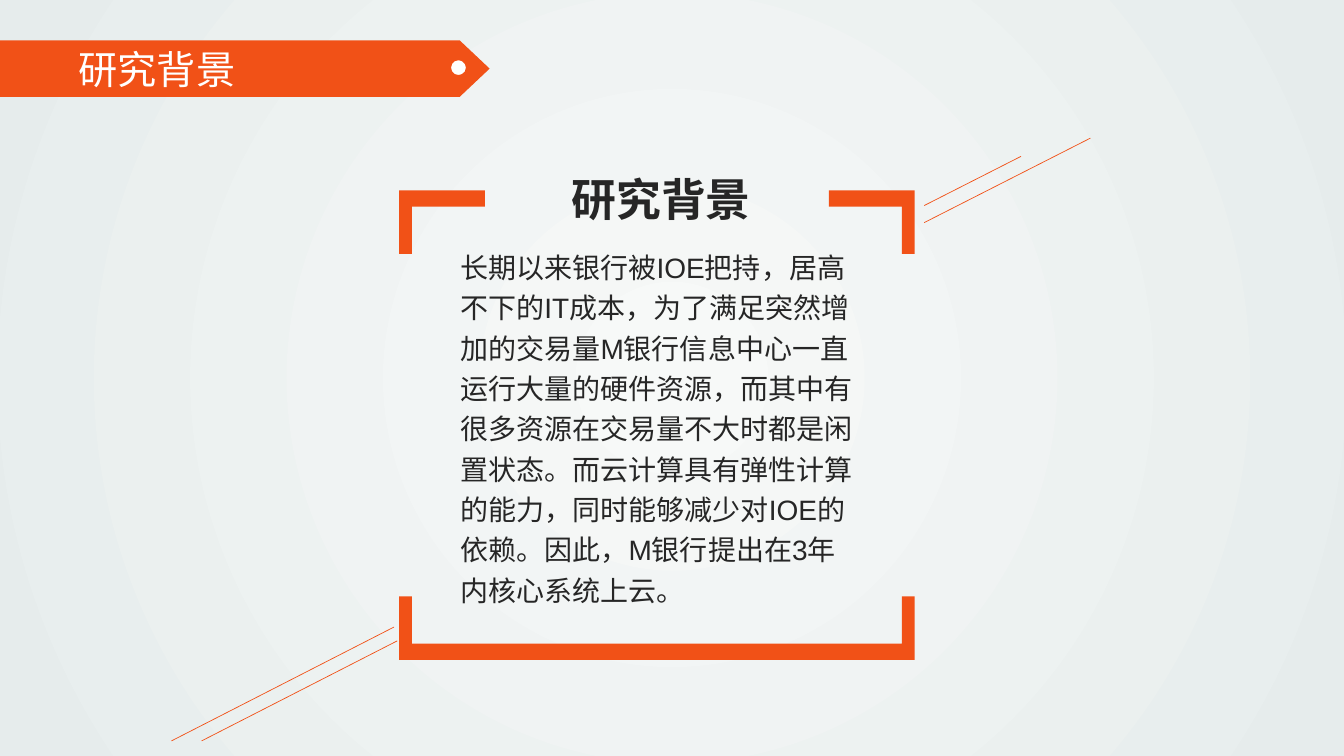
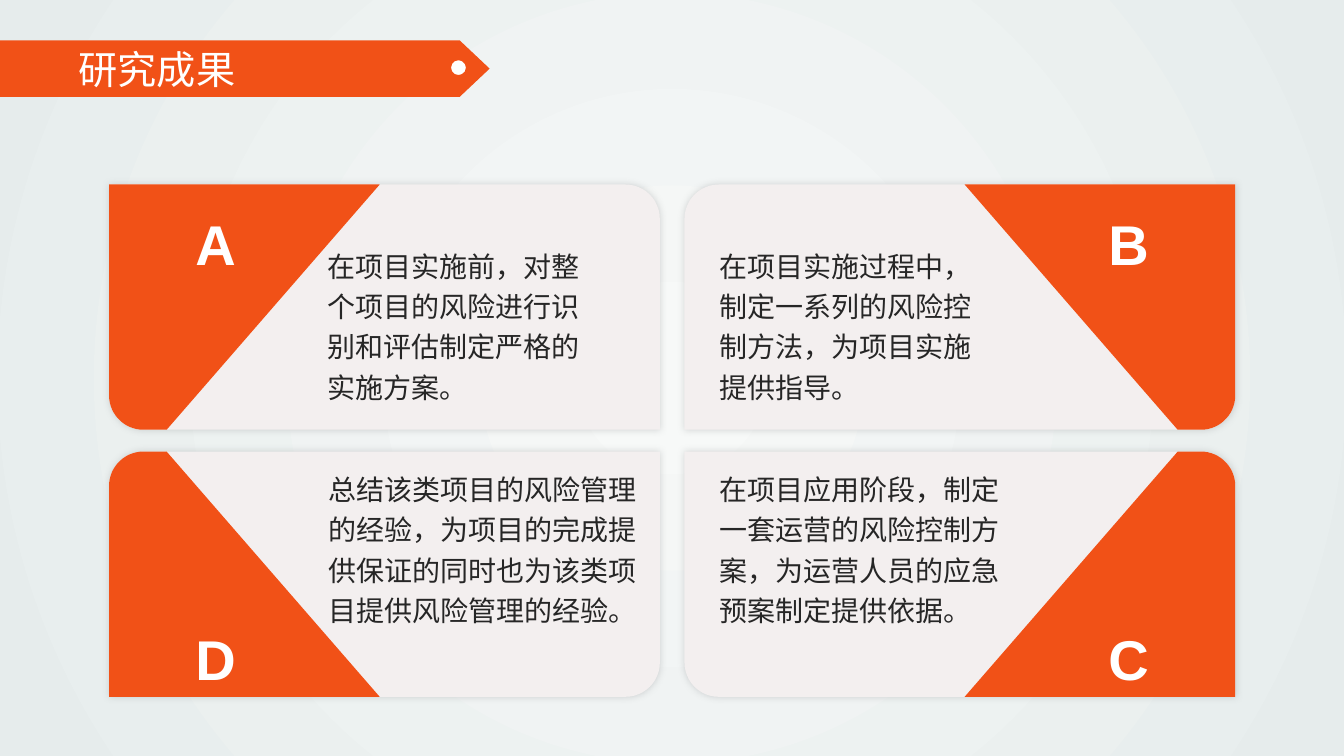
"""Build two slides on moving a bank's core systems to the cloud."""
import math

import lxml.etree
import pptx
import pptx.dml.color
import pptx.enum.lang
import pptx.enum.shapes
import pptx.enum.text
import pptx.oxml.ns
import pptx.util

Cm = pptx.util.Cm
Pt = pptx.util.Pt
RGB = pptx.dml.color.RGBColor
KIND = pptx.enum.shapes.MSO_SHAPE
ALIGN = pptx.enum.text.PP_ALIGN
ANCHOR = pptx.enum.text.MSO_ANCHOR
tag = pptx.oxml.ns.qn

ORANGE = RGB(0xF1, 0x51, 0x17)
WHITE = RGB(0xFF, 0xFF, 0xFF)
INK = RGB(0x26, 0x26, 0x26)
PANEL = RGB(0xF3, 0xEF, 0xEF)
SHADE = RGB(0x97, 0x9A, 0x9C)
GLOW = RGB(0xF7, 0xF9, 0xF8)
EDGE = RGB(0xE6, 0xEC, 0xEC)
HAN = "Noto Sans CJK SC"

TITLE = {"font": {"size": Pt(28), "name": HAN}, "color": WHITE,
         "para": {"alignment": ALIGN.LEFT}, "frame": {"word_wrap": False}}
BODY = {"font": {"size": Pt(20), "name": "Arial"}, "color": INK,
        "para": {"line_spacing": 1.2}, "frame": {"word_wrap": True}}
HEAD = {"font": {"size": Pt(32), "name": "Arial", "bold": True}, "color": INK,
        "para": {"line_spacing": 1.2, "alignment": ALIGN.CENTER},
        "frame": {"word_wrap": True}}
LETTER = {"font": {"size": Pt(40), "name": "Arial", "bold": True},
          "color": WHITE,
          "para": {"line_spacing": 1.3, "alignment": ALIGN.CENTER},
          "frame": {"word_wrap": True}}

STORY = ("长期以来银行被IOE把持，居高不下的IT成本，为了满足突然增加的交易量"
         "M银行信息中心一直运行大量的硬件资源，而其中有很多资源在交易量不大时"
         "都是闲置状态。而云计算具有弹性计算的能力，同时能够减少对IOE的依赖。"
         "因此，M银行提出在3年内核心系统上云。")
LINES = [(4.32, 18.67, 9.93, 15.8), (5.08, 18.67, 10.01, 16.15),
         (23.29, 5.61, 27.48, 3.48), (23.29, 5.18, 25.73, 3.94)]
CARDS = [
    ("A", 0, 0, (8.0, 5.99, 7.09), "在项目实施前，对整个项目的风险进行识别和评估制定严格的实施方案。"),
    ("B", 1, 0, (17.88, 5.99, 7.09), "在项目实施过程中，制定一系列的风险控制方法，为项目实施提供指导。"),
    ("D", 0, 1, (8.03, 11.61, 8.28),
     "总结该类项目的风险管理的经验，为项目的完成提供保证的同时也为该类项目提供风险管理的经验。"),
    ("C", 1, 1, (17.88, 11.61, 7.95),
     "在项目应用阶段，制定一套运营的风险控制方案，为运营人员的应急预案制定提供依据。"),
]
LEFT, TOP, WIDE, HIGH = 2.75, 4.65, 13.88, 6.18
STEP_X, STEP_Y = 14.5, 6.73
BEND = 0.14


def apply(item, values):
    """Set each named value on the item."""
    for name, value in values.items():
        setattr(item, name, value)


def place(shape, x, y, w, h):
    """Move and size a shape in centimetres."""
    apply(shape, {"left": Cm(x), "top": Cm(y), "width": Cm(w), "height": Cm(h)})


def write(shape, text, style):
    """Put one styled paragraph in a shape."""
    frame = shape.text_frame
    frame.auto_size = pptx.enum.text.MSO_AUTO_SIZE.NONE
    frame.vertical_anchor = ANCHOR.TOP
    apply(frame, style["frame"])
    para = frame.paragraphs[0]
    apply(para, style["para"])
    run = para.add_run()
    run.text = text
    run.font.color.rgb = style["color"]
    run.font.language_id = pptx.enum.lang.MSO_LANGUAGE_ID.SIMPLIFIED_CHINESE
    apply(run.font, style["font"])
    props = run.font.fill._xPr
    lxml.etree.SubElement(props, tag("a:ea"), typeface=HAN)


def add_text(slide, box, text, style):
    """Add a text box."""
    write(slide.shapes.add_textbox(*map(Cm, box)), text, style)


def paint(shape, fill, line=None):
    """Give a shape a flat fill and an optional outline."""
    shape.shadow.inherit = False
    shape.fill.solid()
    shape.fill.fore_color.rgb = fill
    if line is None:
        shape.line.fill.background()
    else:
        shape.line.color.rgb = line
        shape.line.width = Pt(1)
    return shape


def add_solid(slide, kind, box, fill, line=None):
    """Add a painted preset shape."""
    return paint(slide.shapes.add_shape(kind, *map(Cm, box)), fill, line)


def add_outline(slide, loops, fill):
    """Add a painted shape made of closed loops of points."""
    build = None
    for loop in loops:
        first, *rest = [(Cm(x), Cm(y)) for x, y in loop]
        if build is None:
            build = slide.shapes.build_freeform(*first)
        else:
            build.move_to(*first)
        build.add_line_segments(rest, close=True)
    return paint(build.convert_to_shape(), fill)


def add_line(slide, ends):
    """Add a thin orange line."""
    kind = pptx.enum.shapes.MSO_CONNECTOR.STRAIGHT
    line = slide.shapes.add_connector(kind, *map(Cm, ends))
    line.line.color.rgb = ORANGE
    line.line.width = Pt(0.5)
    lxml.etree.SubElement(line.element.spPr, tag("a:effectLst"))


def add_glow(shape):
    """Add a soft shadow all round a shape."""
    holder = shape.element.spPr.find(tag("a:effectLst"))
    outer = lxml.etree.SubElement(holder, tag("a:outerShdw"), blurRad=str(Pt(5)),
                                  dist="0", dir="0", algn="ctr", rotWithShape="0")
    tone = lxml.etree.SubElement(outer, tag("a:srgbClr"), val=str(SHADE))
    lxml.etree.SubElement(tone, tag("a:alpha"), val="40000")


def set_back(master):
    """Give the master a round gradient."""
    fill = master.background.fill
    fill.gradient()
    for stop, color in zip(fill.gradient_stops, (GLOW, EDGE)):
        stop.color.rgb = color
    grad = master.element.find(".//" + tag("a:gradFill"))
    grad.remove(grad.find(tag("a:lin")))
    round_ = lxml.etree.SubElement(grad, tag("a:path"), path="circle")
    lxml.etree.SubElement(round_, tag("a:fillToRect"),
                          dict.fromkeys("ltrb", "50000"))


def add_slide(deck, text):
    """Add a slide with the title band."""
    slide = deck.slides.add_slide(deck.slide_layouts[5])
    band = add_solid(slide, KIND.PENTAGON, (0, 1.02, 12.34, 1.42), ORANGE)
    band.adjustments[0] = 0.53
    title = slide.shapes.title
    place(title, 1.73, 1.02, 4.5, 1.45)
    write(title, text, TITLE)
    band.element.addnext(title.element)
    add_solid(slide, KIND.OVAL, (11.35, 1.5, 0.41, 0.41), WHITE, ORANGE)
    return slide


def add_frame(slide):
    """Add the open frame: two top corners and a base."""
    left, right, top, base = 10.06, 23.05, 4.8, 16.63
    wall, bar, arm, leg = 0.32, 0.41, 2.16, 1.6
    corner = [(left, top), (left + arm, top), (left + arm, top + bar),
              (left + wall, top + bar), (left + wall, top + leg),
              (left, top + leg)]
    mirror = [(left + right - x, y) for x, y in corner]
    foot = [(left, base - leg), (left + wall, base - leg),
            (left + wall, base - bar), (right - wall, base - bar),
            (right - wall, base - leg), (right, base - leg),
            (right, base), (left, base)]
    add_outline(slide, [foot, mirror, corner], ORANGE)


def add_wedge(slide, col, row, letter):
    """Add the orange outer part of a card with its letter."""
    bend = BEND * HIGH
    turns = [math.radians(a) for a in range(0, 91, 6)]
    arc = [(bend - bend * math.sin(t), HIGH - bend + bend * math.cos(t))
           for t in turns]
    points = [(0, 0), (6.82, 0), (1.45, HIGH)] + arc
    far_x, far_y = LEFT + STEP_X + WIDE, TOP + STEP_Y + HIGH
    loop = [(far_x - x if col else LEFT + x, far_y - y if row else TOP + y)
            for x, y in points]
    wedge = add_outline(slide, [loop], ORANGE)
    write(wedge, letter, LETTER)
    near, wide = Cm(0.25), Cm(1.7)
    apply(wedge.text_frame, {
        "margin_left": wide if col else near,
        "margin_right": near if col else wide,
        "vertical_anchor": ANCHOR.BOTTOM if row else ANCHOR.TOP})


def add_card(slide, letter, col, row, spot, text):
    """Add one card with its wedge and text."""
    box = (LEFT + col * STEP_X, TOP + row * STEP_Y, WIDE, HIGH)
    card = add_solid(slide, KIND.ROUND_2_DIAG_RECTANGLE, box, PANEL)
    same = col == row
    card.adjustments[0] = 0 if same else BEND
    card.adjustments[1] = BEND if same else 0
    add_glow(card)
    add_wedge(slide, col, row, letter)
    add_text(slide, (*spot, 4.27), text, BODY)


def main():
    """Build and save the deck."""
    deck = pptx.Presentation()
    apply(deck, {"slide_width": Cm(33.87), "slide_height": Cm(19.05)})
    set_back(deck.slide_master)

    slide = add_slide(deck, "研究背景")
    for ends in LINES:
        add_line(slide, ends)
    add_frame(slide)
    add_text(slide, (11.35, 6.02, 10.67, 9.4), STORY, BODY)
    add_text(slide, (12.78, 3.94, 7.77, 1.75), "研究背景", HEAD)

    slide = add_slide(deck, "研究成果")
    for card in CARDS:
        add_card(slide, *card)
    deck.save("out.pptx")


main()
